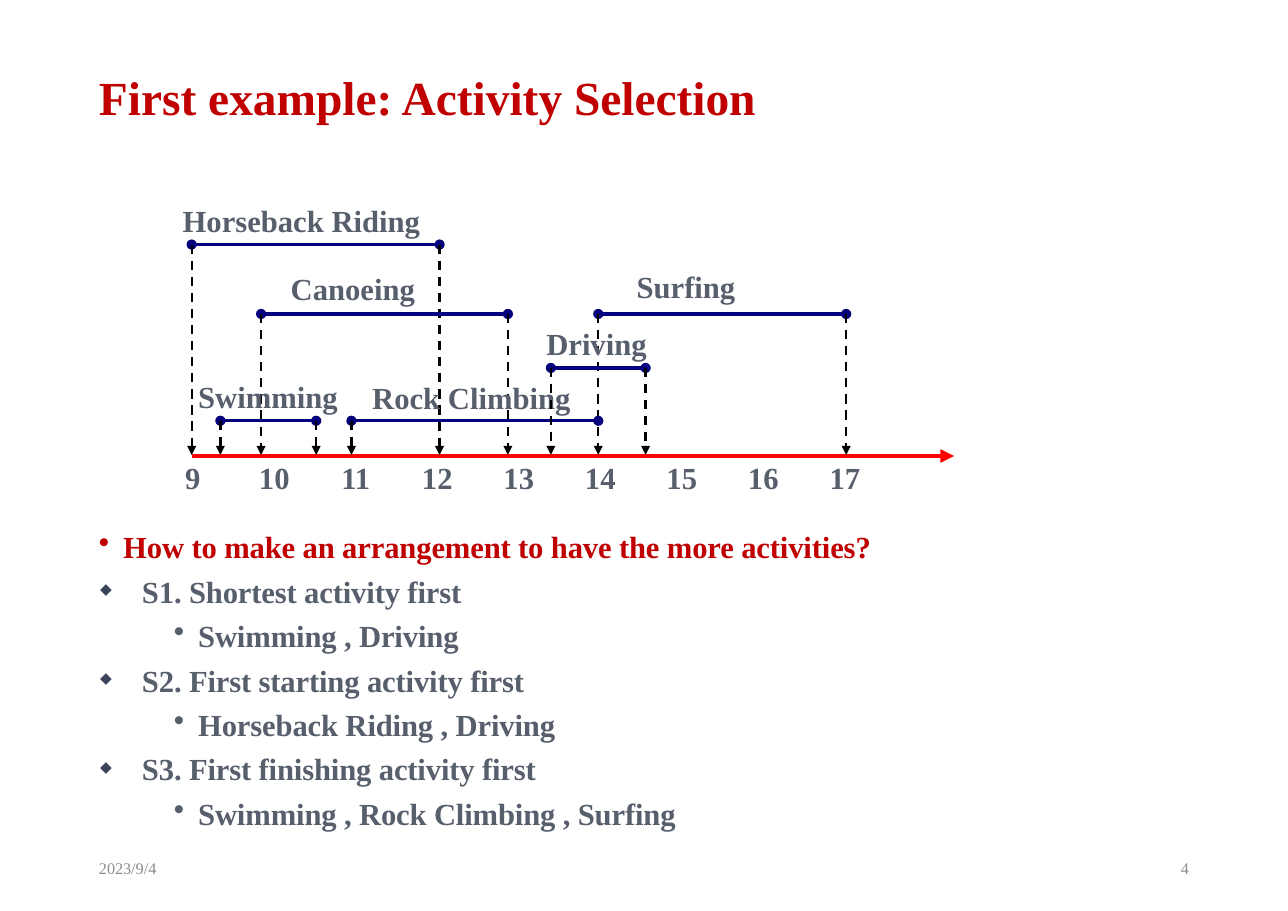
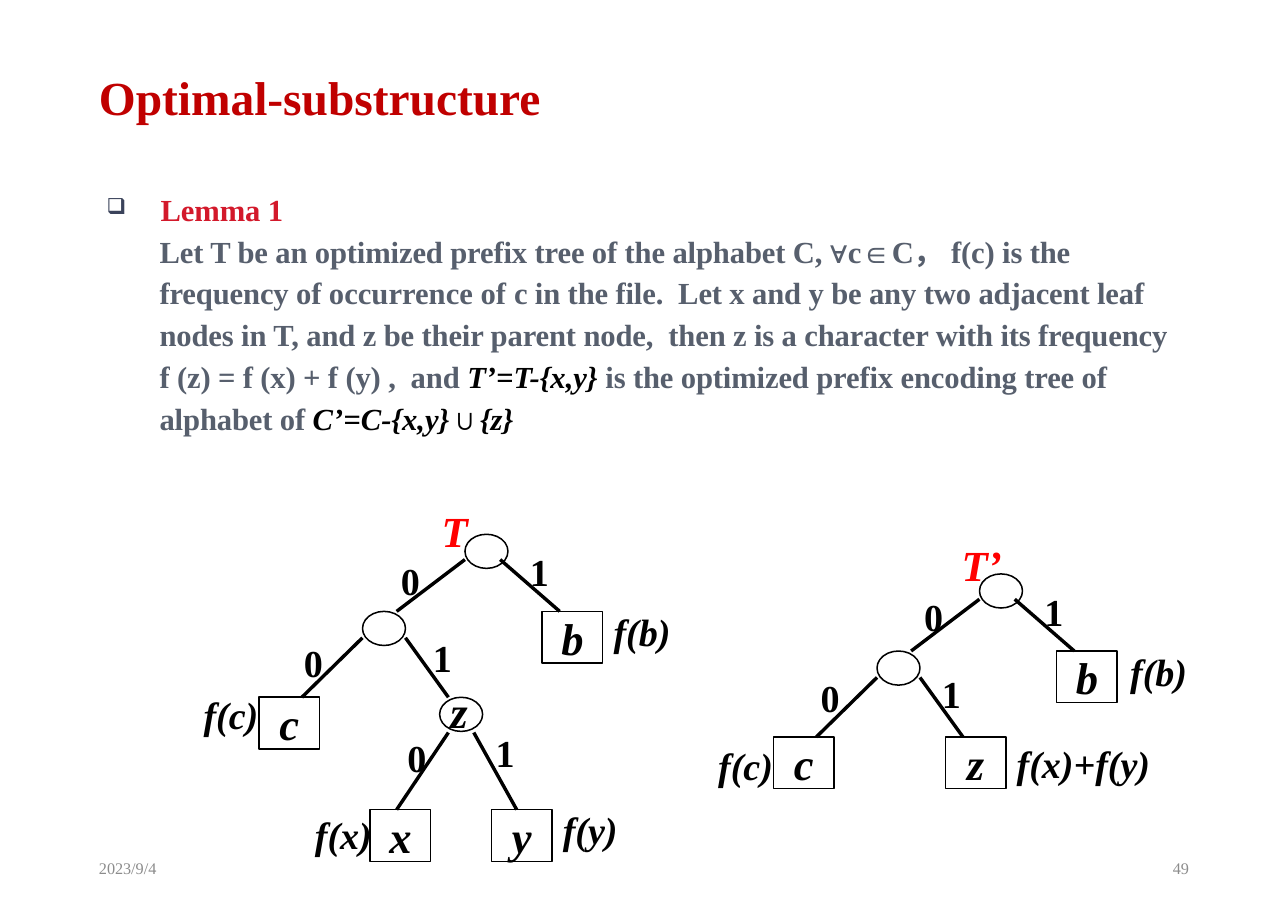
from lxml import etree
from pptx import Presentation
from pptx.dml.color import RGBColor
from pptx.enum.dml import MSO_LINE
from pptx.enum.shapes import MSO_CONNECTOR, MSO_SHAPE
from pptx.enum.text import MSO_ANCHOR, MSO_AUTO_SIZE, PP_ALIGN
from pptx.oxml.ns import qn
from pptx.util import Inches, Pt

STRAIGHT = MSO_CONNECTOR.STRAIGHT
RECT, OVAL = MSO_SHAPE.RECTANGLE, MSO_SHAPE.OVAL
TOP, MIDDLE = MSO_ANCHOR.TOP, MSO_ANCHOR.MIDDLE
LEFT, CENTER, RIGHT = PP_ALIGN.LEFT, PP_ALIGN.CENTER, PP_ALIGN.RIGHT
DASH = MSO_LINE.DASH
GROW = MSO_AUTO_SIZE.SHAPE_TO_FIT_TEXT
FONT = "Times New Roman"
NO_TABLE_STYLE = "{2D5ABB26-0587-4C30-8999-92F81FD0307C}"
COLORS = {
    "title": "C00000", "body": "575F6D", "footer": "8C8C8C", "bullet": "3B435B",
    "lemma": "D3192B", "axis": "FF0000", "activity": "03017B", "black": "000000",
}


def write(frame, text, size=20, color="body", bold=True, italic=False, tracking=0,
          align=LEFT, anchor=TOP, wrap=True, line_spacing=1, before=0,
          margin=0, indent=0, bullet=None, bullet_color=None, bullet_percent=100):
    """Add one paragraph; text is a string or a list of (string, run overrides)."""
    frame.word_wrap = wrap
    frame.vertical_anchor = anchor
    paragraph = frame.add_paragraph() if frame.text else frame.paragraphs[0]
    paragraph.alignment = align
    paragraph.line_spacing = line_spacing
    paragraph.space_before = Pt(before)
    props = paragraph._p.get_or_add_pPr()
    props.set("marL", str(Inches(margin)))
    props.set("indent", str(Inches(indent)))
    if bullet:
        bullet_fill = etree.SubElement(props, qn("a:buClr"))
        etree.SubElement(bullet_fill, qn("a:srgbClr"), val=COLORS[bullet_color or color])
        etree.SubElement(props, qn("a:buSzPct"), val=str(bullet_percent * 1000))
        etree.SubElement(props, qn("a:buChar"), char=bullet)
    for words, changes in [(text, {})] if isinstance(text, str) else text:
        run = paragraph.add_run()
        run.text = words
        run.font.name = FONT
        run.font.size = Pt(size)
        run.font.bold = bold
        run.font.italic = changes.get("italic", italic)
        run.font.color.rgb = RGBColor.from_string(COLORS[changes.get("color", color)])
        spacing = changes.get("tracking", tracking)
        run._r.get_or_add_rPr().set("spc", str(round(spacing * 100)))


def draw_line(slide, start, end, color, width, dash=None, head=None, tail=None):
    connector = slide.shapes.add_connector(STRAIGHT, *map(Inches, start + end))
    connector.line.color.rgb = RGBColor.from_string(COLORS[color])
    connector.line.width = Pt(width)
    if dash:
        connector.line.dash_style = dash
    props = connector._element.spPr
    outline = props.find(qn("a:ln"))
    for tag, kind in (("a:headEnd", head), ("a:tailEnd", tail)):
        if kind:
            etree.SubElement(outline, qn(tag), type=kind)
    etree.SubElement(props, qn("a:effectLst"))


prs = Presentation()
prs.slide_width, prs.slide_height = Inches(11.69), Inches(8.27)

# Title, date and page number on every slide
slides = []
for title, page in (("First example: Activity Selection", "4"), ("Optimal-substructure", "49")):
    slide = prs.slides.add_slide(prs.slide_layouts[6])
    for text, box, style in (
        ("2023/9/4", (0.8, 7.66, 2.63, 0.44), dict(size=10.6, color="footer", bold=False)),
        (page, (8.26, 7.66, 2.63, 0.44),
         dict(size=10.6, color="footer", bold=False, align=RIGHT)),
        (title, (0.8, 0.26, 10.02, 1.3), dict(size=31, color="title", line_spacing=0.9)),
    ):
        frame = slide.shapes.add_textbox(*map(Inches, box)).text_frame
        write(frame, text, anchor=MIDDLE, **style)
    slides.append(slide)
selection, substructure = slides

# Activity selection: strategies
strategies = selection.shapes.add_textbox(*map(Inches, (0.8, 4.68, 10.02, 3.27))).text_frame
write(strategies, "How to make an arrangement to have the more activities?", color="title",
      tracking=-0.1, line_spacing=1.2, before=8.8, margin=0.22, indent=-0.22, bullet="•")
for strategy, chosen in (
    ("S1. Shortest activity first", "Swimming , Driving"),
    ("S2. First starting activity first", "Horseback Riding , Driving"),
    ("S3. First finishing activity first", "Swimming , Rock Climbing , Surfing"),
):
    write(strategies, strategy, tracking=-0.1, before=5.2, margin=0.39, indent=-0.38,
          bullet="◆", bullet_color="bullet", bullet_percent=50)
    write(strategies, chosen, tracking=-0.1, before=4.8, margin=0.9, indent=-0.22, bullet="•")

# Activity selection: timeline
AXIS_Y = 4.14
draw_line(selection, (1.74, AXIS_Y), (8.66, AXIS_Y), "axis", 3, tail="triangle")
activities = [  # name, start, finish, height, label box
    ("Horseback Riding", 1.74, 3.99, 2.22, (1.55, 1.78, 2.9, 0.44)),
    ("Canoeing", 2.37, 4.61, 2.85, (2.53, 2.4, 2.08, 0.44)),
    ("Surfing", 5.43, 7.68, 2.85, (5.67, 2.38, 1.57, 0.44)),
    ("Rock Climbing", 3.19, 5.43, 3.82, (3.27, 3.39, 2.68, 0.44)),
    ("Swimming", 2, 2.87, 3.82, (1.69, 3.38, 1.58, 0.44)),
    ("Driving", 5, 5.86, 3.34, (4.85, 2.9, 1.19, 0.44)),
]
for name, start, finish, y, label_box in activities:
    draw_line(selection, (start, y), (finish, y), "activity", 2.25, head="oval", tail="oval")
    for x in (start, finish):
        if (name, x) != ("Rock Climbing", 5.43):  # Surfing already marks this time
            draw_line(selection, (x, y), (x, AXIS_Y - 0.01), "black", 1.5,
                      dash=DASH, tail="triangle")
    label = selection.shapes.add_textbox(*map(Inches, label_box)).text_frame
    write(label, name, before=1, margin=0.01)

hours = range(9, 18)
hour_frame = selection.shapes.add_table(
    1, len(hours), *map(Inches, (1.38, 4.13, 6.66, 0.43)))
hour_table = hour_frame.table
hour_table.first_row = hour_table.horz_banding = False
hour_table._tbl.tblPr.find(qn("a:tableStyleId")).text = NO_TABLE_STYLE
for column, hour in enumerate(hours):
    hour_table.columns[column].width = Inches(0.74)
    cell = hour_table.cell(0, column)
    cell.fill.background()
    cell.vertical_anchor = MIDDLE
    cell.margin_left = cell.margin_right = 0
    write(cell.text_frame, str(hour), align=CENTER, anchor=MIDDLE)

# Optimal substructure: lemma
lemma = substructure.shapes.add_textbox(*map(Inches, (0.8, 1.68, 10.02, 5.98))).text_frame
write(lemma, "Lemma 1", color="lemma", tracking=-0.1, before=17.4, margin=0.56, indent=-0.49,
      bullet="❑", bullet_color="bullet", bullet_percent=72)
formula = dict(color="black", italic=True, tracking=0)
write(lemma, [
    ("Let T be an optimized prefix tree of the alphabet C, ∀c∈C， f(c) is the frequency of ", {}),
    ("occurrence of ", dict(tracking=0)),
    ("c in the file.  Let x and y be any two adjacent leaf nodes in T, and z be their parent "
     "node,  then z is a character with its frequency f (z) = f (x) + f (y) ,  and ", {}),
    ("T’=T-{x,y} ", formula),
    ("is the optimized prefix encoding tree of alphabet of ", {}),
    ("C’=C-{x,y}∪{z}", formula),
], tracking=-0.1, line_spacing=1.14, before=0.1, margin=0.55)

# Optimal substructure: both trees share one skeleton; T also splits z into x and y
LEAF, JOINT = (0.55, 0.47), (0.39, 0.31)
TREE_SHIFT = (4.67, 0.36)
skeleton_nodes = [("b", 4.92, 5.55), ("c", 2.35, 6.33), ("", 3.29, 5.55), ("", 4.22, 4.85)]
skeleton_edges = [
    (4.22, 5.08, 3.6, 5.55), (4.54, 5.08, 5.08, 5.55),
    (3.29, 5.79, 2.74, 6.33), (3.68, 5.79, 4.07, 6.33),
]
trees = [
    ((0, 0), [("x", 3.36, 7.35), ("y", 4.46, 7.35), ("", 3.99, 6.33)],
     [(4.07, 6.65, 3.6, 7.35), (4.3, 6.65, 4.69, 7.35)]),
    (TREE_SHIFT, [("z", 3.91, 6.33)], []),
]
for (dx, dy), extra_nodes, extra_edges in trees:
    for letter, x, y in skeleton_nodes + extra_nodes:
        kind, node_size = (RECT, LEAF) if letter else (OVAL, JOINT)
        node = substructure.shapes.add_shape(
            kind, *map(Inches, (x + dx, y + dy) + node_size))
        node.shadow.inherit = False
        node.fill.background()
        node.line.color.rgb = RGBColor.from_string(COLORS["black"])
        node.line.width = Pt(1)
        if letter:
            write(node.text_frame, letter, size=29.1, color="black", italic=True,
                  align=CENTER, anchor=MIDDLE, wrap=False)
    for x1, y1, x2, y2 in skeleton_edges + extra_edges:
        draw_line(substructure, (x1 + dx, y1 + dy), (x2 + dx, y2 + dy), "black", 2.25)

# Optimal substructure: tree names, edge bits and frequencies
tree_name = dict(size=28, color="axis", italic=True)
bit = dict(size=24.9, color="black")
frequency = dict(size=24.9, color="black", italic=True)
inner_node = dict(size=29.1, color="black", italic=True)
label_groups = [
    (tree_name, 0.57, [("T", 3.91, 4.53, 0.44), ("T’", 8.63, 4.84, 0.57)]),
    (bit, 0.52, [
        ("0", 3.54, 5.01, 0.38), ("0", 2.66, 5.76, 0.38), ("0", 3.6, 6.62, 0.38),
        ("1", 4.4, 6.57, 0.38), ("1", 3.83, 5.71, 0.38), ("1", 4.71, 4.93, 0.38),
        ("0", 7.35, 6.07, 0.38), ("0", 8.29, 5.34, 0.38),
        ("1", 9.38, 5.29, 0.38), ("1", 8.45, 6.04, 0.38),
    ]),
    (frequency, 0.52, [
        ("f(x)", 2.76, 7.32, 0.72), ("f(c)", 1.75, 6.23, 0.7), ("f(y)", 5.01, 7.27, 0.7),
        ("f(b)", 5.47, 5.47, 0.72), ("f(c)", 6.42, 6.69, 0.7), ("f(b)", 10.16, 5.84, 0.72),
        ("f(x)+f(y)", 9.13, 6.67, 1.43),
    ]),
    (inner_node, 0.59, [("z", 3.99, 6.16, 0.36)]),
]
for style, height, labels in label_groups:
    for text, x, y, width in labels:
        label = substructure.shapes.add_textbox(*map(Inches, (x, y, width, height))).text_frame
        label.auto_size = GROW
        write(label, text, wrap=False, **style)

prs.save("out.pptx")
